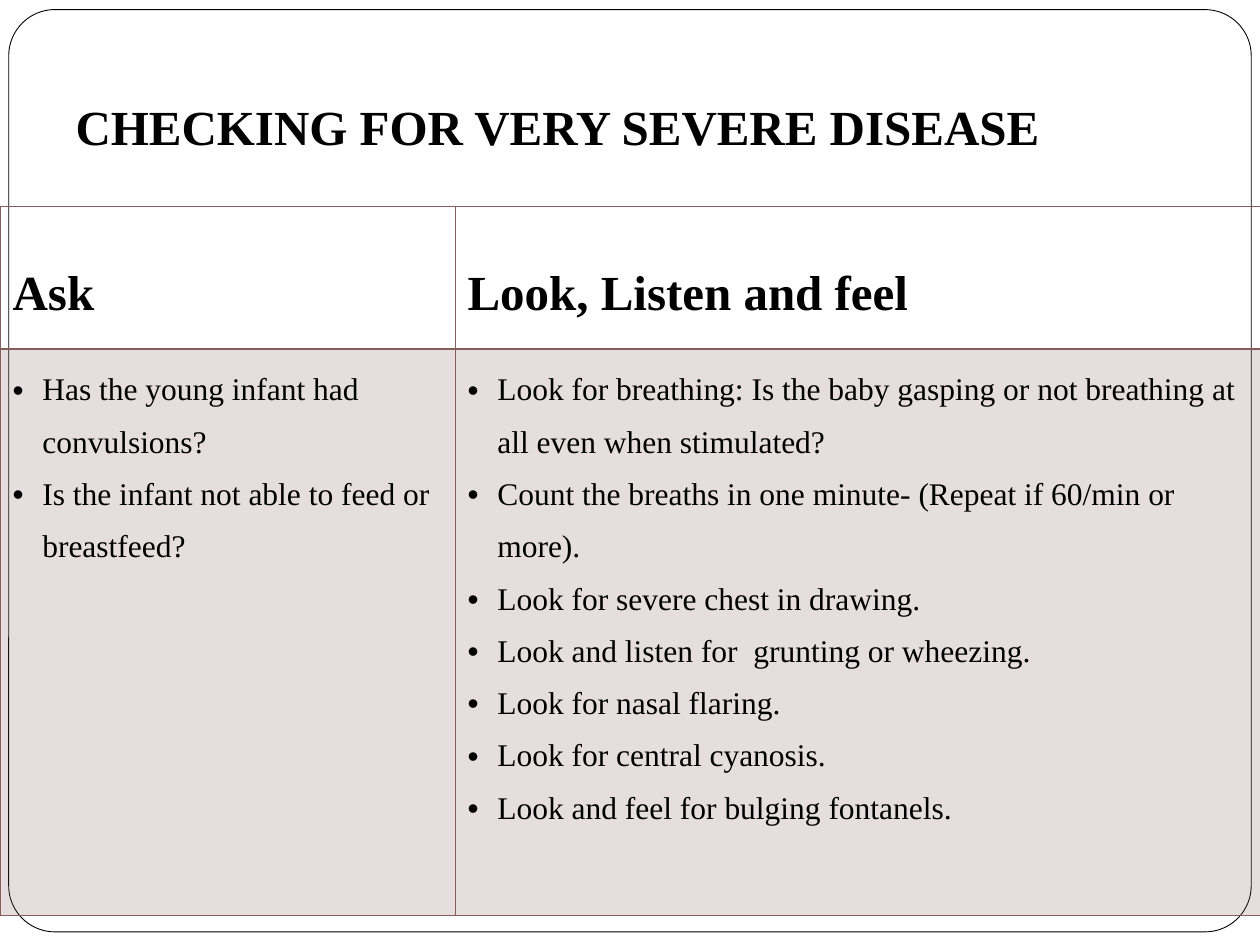
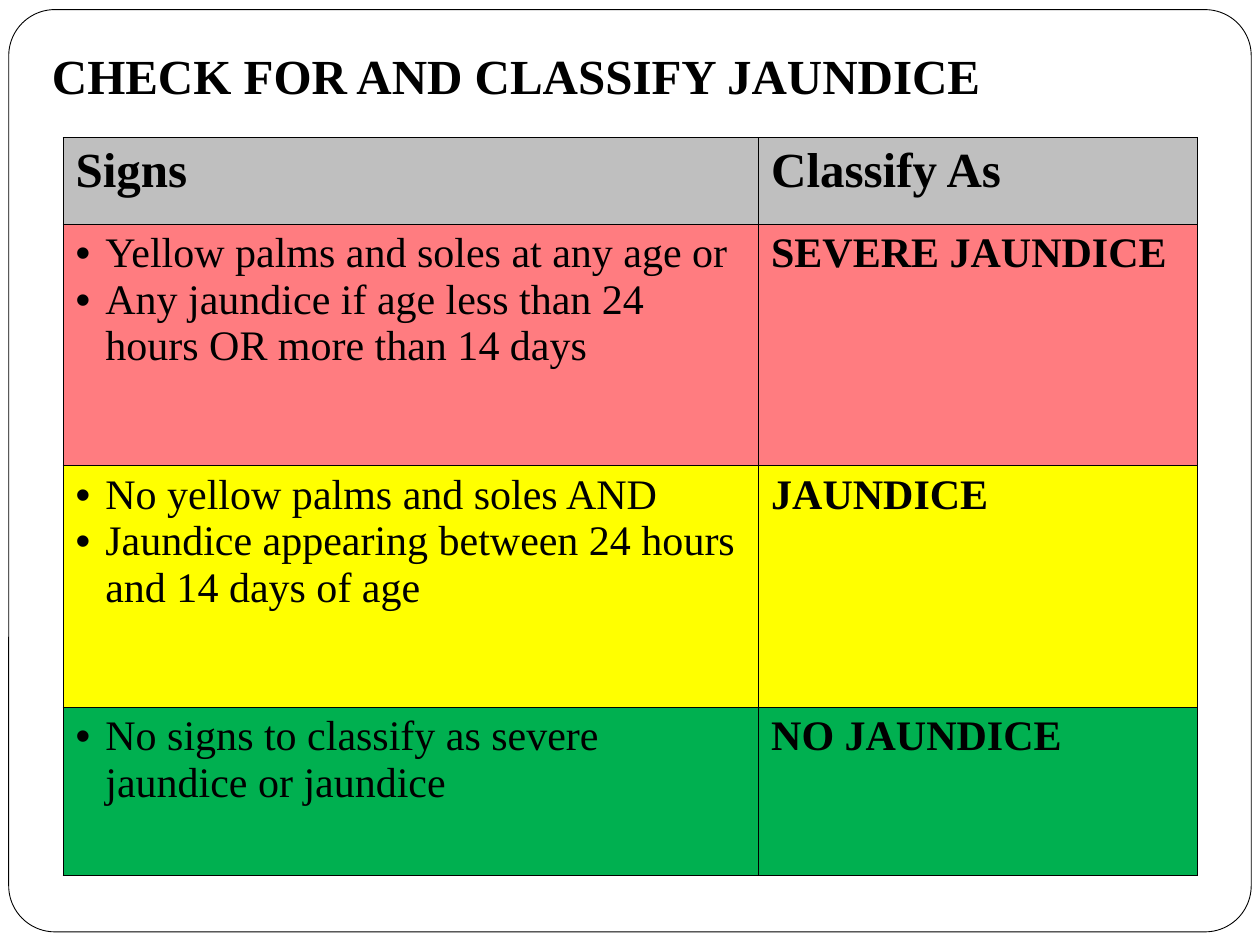
from lxml.etree import SubElement as Sub
from pptx import Presentation
from pptx.dml.color import RGBColor
from pptx.enum.shapes import MSO_SHAPE as Shape
from pptx.enum.text import MSO_ANCHOR as Anchor, MSO_AUTO_SIZE as Fit, PP_ALIGN as Align
from pptx.oxml.ns import qn
from pptx.util import Pt

BLACK, WHITE, MAUVE = "000000", "FFFFFF", "855D5D"
GREY, RED, YELLOW, GREEN = "BFBFBF", "FF7C80", "FFFF00", "00B050"
FACE = "Times New Roman"
HEAD = {"size": 28, "bold": True}
HEAVY = {"size": 24, "bold": True}
LIST = {"size": 24, "bold": False, "dot": True}
TALL_HEAD = {**HEAD, "pitch": 2.0}
TALL_LIST = {"size": 18, "bold": False, "dot": True, "pitch": 1.5}
DENT = 17


def color(code):
    """Turn a hex string into a colour."""
    return RGBColor.from_string(code)


def style(font, look):
    """Set the shared face and the look's own values on a font."""
    values = {"name": FACE, "size": Pt(look["size"]), "bold": look["bold"]}
    for key, value in values.items():
        setattr(font, key, value)
    font.color.rgb = color(BLACK)


def bullet(para):
    """Give a paragraph a black dot and a hanging indent."""
    props = para._p.get_or_add_pPr()
    props.set("marL", str(Pt(DENT)))
    props.set("indent", str(-Pt(DENT)))
    tint = Sub(props, qn("a:buClr"))
    Sub(tint, qn("a:srgbClr"), val=BLACK)
    Sub(props, qn("a:buFont"), typeface="Arial")
    Sub(props, qn("a:buChar"), char="•")


def write(frame, lines, look):
    """Write one paragraph per line in the given look."""
    frame.text = "\n".join(lines)
    for para in frame.paragraphs:
        para.alignment = Align.LEFT
        para.line_spacing = look.get("pitch", 1.0)
        if look.get("dot"):
            bullet(para)
        for run in para.runs:
            style(run.font, look)


def edge(cell, widths, tint):
    """Draw the left, right, top and bottom borders of a cell."""
    props = cell._tc.get_or_add_tcPr()
    for spot, (side, width) in enumerate(zip("LRTB", widths)):
        line = Sub(props, qn(f"a:ln{side}"), w=str(Pt(width)))
        fill = Sub(line, qn("a:solidFill"))
        Sub(fill, qn("a:srgbClr"), val=tint)
        props.insert(spot, line)


def paint(cell, tint, alpha=None):
    """Fill a cell, see-through by a percentage, or leave it clear."""
    if tint is None:
        cell.fill.background()
        return
    cell.fill.solid()
    cell.fill.fore_color.rgb = color(tint)
    if alpha:
        rgb = next(cell._tc.tcPr.iter(qn("a:srgbClr")))
        for rgb in cell._tc.tcPr.find(qn("a:solidFill")):
            Sub(rgb, qn("a:alpha"), val=str(alpha * 1000))


def base(deck, title, box):
    """Add a slide with the rounded frame and its title in a box."""
    slide = deck.slides.add_slide(deck.slide_layouts[5])
    head = slide.shapes.title
    rim = slide.shapes.add_shape(Shape.ROUNDED_RECTANGLE, *map(Pt, (5, 5.5, 710, 527)))
    rim.adjustments[0] = 0.05
    rim.shadow.inherit = False
    rim.fill.solid()
    rim.fill.fore_color.rgb = color(WHITE)
    rim.line.color.rgb = color(BLACK)
    rim.line.width = Pt(0.5)
    head.element.addprevious(rim.element)
    for key, value in zip(("left", "top", "width", "height"), box):
        setattr(head, key, Pt(value))
    frame = head.text_frame
    values = {"word_wrap": True, "auto_size": Fit.NONE, "vertical_anchor": Anchor.BOTTOM,
              "margin_left": Pt(7.2), "margin_right": Pt(7.2),
              "margin_top": Pt(3.6), "margin_bottom": Pt(7.2)}
    for key, value in values.items():
        setattr(frame, key, value)
    write(frame, [title], HEAD)
    return slide


def grid(slide, left, top, cols, rows):
    """Add a plain table from column widths and row heights."""
    box = (left, top, sum(cols), sum(rows))
    table = slide.shapes.add_table(len(rows), len(cols), *map(Pt, box)).table
    table.first_row = table.horz_banding = False
    for col, width in zip(table.columns, cols):
        col.width = Pt(width)
    for row, height in zip(table.rows, rows):
        row.height = Pt(height)
    return table


def checks(deck):
    """Build the slide on checking for very severe disease."""
    slide = base(deck, "CHECKING FOR VERY SEVERE DISEASE", (36, 28, 648, 68))
    table = grid(slide, 0, 118, (260, 460), (81.5, 323.5))
    parts = {
        "Ask": ["Has the young infant had convulsions?",
                "Is the infant not able to feed or breastfeed?"],
        "Look, Listen and feel": [
            "Look for breathing: Is the baby gasping or not breathing at all even when stimulated?",
            "Count the breaths in one minute- (Repeat if 60/min or more).",
            "Look for severe chest in drawing.",
            "Look and listen for  grunting or wheezing.",
            "Look for nasal flaring.",
            "Look for central cyanosis.",
            "Look and feel for bulging fontanels."]}
    for col, (name, items) in enumerate(parts.items()):
        head, body = table.cell(0, col), table.cell(1, col)
        write(head.text_frame, [name], TALL_HEAD)
        write(body.text_frame, items, TALL_LIST)
        paint(head, None)
        paint(body, MAUVE, 20)
        edge(head, (0.45, 0.45, 0.45, 0.96), MAUVE)
        edge(body, (0.45, 0.45, 0.96, 0.45), MAUVE)


def classes(deck):
    """Build the slide on classifying jaundice."""
    slide = base(deck, "CHECK FOR AND CLASSIFY JAUNDICE", (22.5, 16.5, 648, 50.5))
    table = grid(slide, 36, 78.5, (397.5, 250.5), (49.5, 138, 138, 96.5))
    rows = [
        (GREY, HEAD, HEAD, ["Signs"], "Classify As"),
        (RED, LIST, HEAVY, ["Yellow palms and soles at any age or",
                            "Any jaundice if age less than 24 hours OR more than 14 days"],
         "SEVERE JAUNDICE"),
        (YELLOW, LIST, HEAVY, ["No yellow palms and soles AND",
                               "Jaundice appearing between 24 hours and 14 days of age"],
         "JAUNDICE"),
        (GREEN, LIST, HEAVY, ["No signs to classify as severe jaundice or jaundice"],
         "NO JAUNDICE")]
    for row, (tint, look, mark, signs, name) in enumerate(rows):
        write(table.cell(row, 0).text_frame, signs, look)
        write(table.cell(row, 1).text_frame, [name], mark)
        for col in range(2):
            cell = table.cell(row, col)
            paint(cell, tint)
            edge(cell, [0.45] * 4, BLACK)


def main():
    """Build and save the deck."""
    deck = Presentation()
    deck.slide_width, deck.slide_height = Pt(720), Pt(540)
    checks(deck)
    classes(deck)
    deck.save("out.pptx")


if __name__ == "__main__":
    main()
